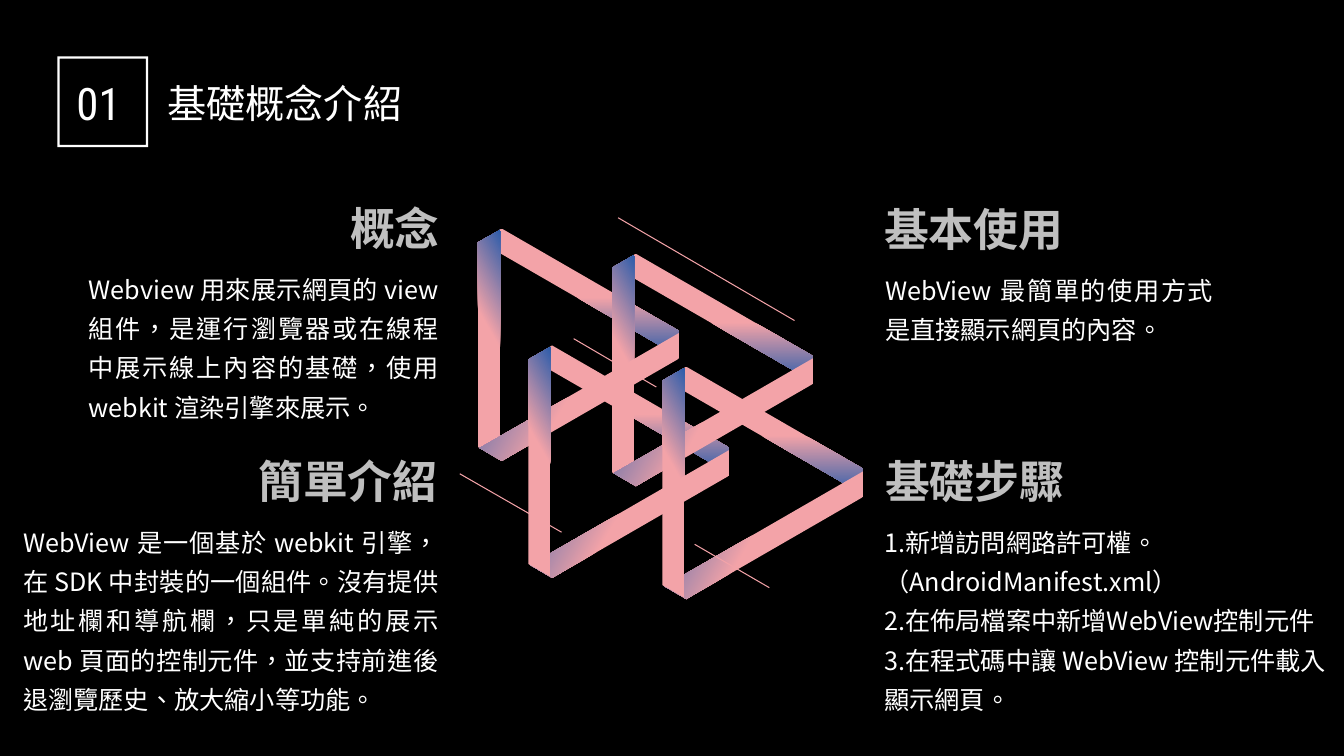
from dataclasses import dataclass

from lxml.etree import SubElement
from pptx import Presentation
from pptx.dml.color import RGBColor
from pptx.enum.lang import MSO_LANGUAGE_ID
from pptx.enum.shapes import MSO_CONNECTOR, MSO_SHAPE
from pptx.enum.text import MSO_ANCHOR, MSO_AUTO_SIZE, PP_ALIGN
from pptx.oxml.ns import qn
from pptx.util import Inches, Pt

LEFT, RIGHT, JUSTIFY = PP_ALIGN.LEFT, PP_ALIGN.RIGHT, PP_ALIGN.JUSTIFY

# Boxes are (left, top, width, height) in inches.
TITLE = ("基礎概念介紹", (1.56, 0.74, 2.97, 0.57))
NUMBER = ("01", (0.66, 0.7, 0.72, 0.64))
NUMBER_FRAME = (0.57, 0.56, 0.9, 0.9)

HEADINGS = [
    ("概念", (3.18, 1.94, 1.28, 0.64), RIGHT),
    ("簡單介紹", (2.35, 4.45, 2.09, 0.64), RIGHT),
    ("基本使用", (8.67, 1.95, 2.09, 0.64), LEFT),
    ("基礎步驟", (8.68, 4.45, 2.09, 0.64), LEFT),
]
DESCRIPTIONS = [
    ("Webview 用來展示網頁的 view 組件，是運行瀏覽器或在線程中展示線上內容的基礎，"
     "使用 webkit 渲染引擎來展示。", (0.78, 2.58, 3.67, 1.68)),
    ("WebView 是一個基於 webkit 引擎，在 SDK 中封裝的一個組件。沒有提供地址欄和導航欄，"
     "只是單純的展示 web 頁面的控制元件，並支持前進後退瀏覽歷史、放大縮小等功能。",
     (0.13, 5.09, 4.32, 2.07)),
    ("WebView 最簡單的使用方式是直接顯示網頁的內容。", (8.68, 2.59, 3.45, 0.89)),
]
STEPS = [
    "1.新增訪問網路許可權。（AndroidManifest.xml）",
    "2.在佈局檔案中新增WebView控制元件",
    "3.在程式碼中讓 WebView 控制元件載入顯示網頁。",
]
STEPS_BOX = (8.67, 5.09, 4.6, 2.07)

# Each triangle is three bands; a band is one trapezoid, turned about its centre.
BAND_LENGTH, BAND_WIDTH, BAND_INSET = 2.28, 0.22, 0.125
BANDS = {"upper": (4.66, 2.76, 30), "lower": (4.66, 3.86, 150), "upright": (3.71, 3.31, 270)}
TRIANGLES = {"A": (0, 0), "B": (1.33, 0.25), "C": (0.5, 1.16), "D": (1.83, 1.37)}
STACKING = [
    ("D", "upper"), ("D", "lower"), ("C", "upper"), ("B", "upper"),
    ("A", "upper"), ("B", "upright"), ("B", "lower"), ("A", "upright"),
    ("A", "lower"), ("D", "upright"), ("C", "lower"), ("C", "upright"),
]
ACCENT_LINES = [
    (4.56, 4.7, 5.57, 5.28), (6.13, 2.16, 7.88, 3.18),
    (6.89, 5.4, 7.63, 5.83), (5.69, 3.36, 6.51, 3.84),
]


@dataclass(frozen=True)
class Theme:
    background: str = "000000"
    text: str = "FFFFFF"
    heading: str = "BFBFBF"
    pink: str = "F3A3A8"
    blue: str = "2E5DAA"
    font: str = "Noto Sans CJK SC"
    number_font: str = "Roboto Condensed"
    title_size: int = 28
    heading_size: int = 32
    body_size: int = 18


THEME = Theme()


def color(value):
    return RGBColor.from_string(value)


def inches(values):
    return [Inches(value) for value in values]


def write(shape, lines, size, align, ink=THEME.text, font=THEME.font, bold=False, spacing=1.0):
    """Fill a text box or placeholder with evenly styled, unbulleted paragraphs."""
    frame = shape.text_frame
    frame.text = "\n".join(lines)
    frame.word_wrap = True
    frame.auto_size = MSO_AUTO_SIZE.SHAPE_TO_FIT_TEXT
    frame.vertical_anchor = MSO_ANCHOR.TOP
    for para in frame.paragraphs:
        properties = para._p.get_or_add_pPr()
        properties.set("marL", "0")
        properties.set("indent", "0")
        SubElement(properties, qn("a:buNone"))
        para.alignment = align
        para.line_spacing = spacing
        para.space_before = Pt(0)
        para.font.size = Pt(size)
        para.font.bold = bold
        para.font.color.rgb = color(ink)
        para.font.name = font
        para.font.language_id = MSO_LANGUAGE_ID.TRADITIONAL_CHINESE
        SubElement(properties.find(qn("a:defRPr")), qn("a:ea"), typeface=THEME.font)


def place(shape, box):
    shape.left, shape.top, shape.width, shape.height = inches(box)
    return shape


def add_text(page, text, box, *style, **options):
    write(page.shapes.add_textbox(*inches(box)), [text], *style, **options)


def add_band(page, left, top, turn):
    corners = [(BAND_INSET, 0), (BAND_LENGTH - BAND_INSET, 0),
               (BAND_LENGTH, BAND_WIDTH), (0, BAND_WIDTH)]
    points = [(Inches(left + x), Inches(top + y)) for x, y in corners]
    builder = page.shapes.build_freeform(*points[0], scale=1.0)
    builder.add_line_segments(points[1:], close=True)
    band = builder.convert_to_shape()
    band.rotation = turn
    band.shadow.inherit = False
    band.line.fill.background()
    band.fill.gradient()
    band.fill.gradient_angle = 300  # counter-clockwise, so 60 degrees clockwise
    for stop, position, tint in zip(band.fill.gradient_stops, (0.56, 1), (THEME.pink, THEME.blue)):
        stop.position = position
        stop.color.rgb = color(tint)


def add_accent_line(page, ends):
    line = page.shapes.add_connector(MSO_CONNECTOR.STRAIGHT, *inches(ends))
    line.line.color.rgb = color(THEME.pink)
    line.line.width = Pt(0.75)
    SubElement(line._element.spPr, qn("a:effectLst"))


def add_number_frame(page):
    frame = page.shapes.add_shape(MSO_SHAPE.FRAME, *inches(NUMBER_FRAME))
    frame.adjustments[0] = 0.024
    frame.shadow.inherit = False
    frame.fill.solid()
    frame.fill.fore_color.rgb = color(THEME.text)
    frame.line.fill.background()


def main():
    deck = Presentation()
    deck.slide_width, deck.slide_height = Inches(13.33), Inches(7.5)
    page = deck.slides.add_slide(deck.slide_layouts[1])
    page.background.fill.solid()
    page.background.fill.fore_color.rgb = color(THEME.background)

    title, title_box = TITLE
    write(place(page.shapes.title, title_box), [title], THEME.title_size, JUSTIFY)
    write(place(page.placeholders[1], STEPS_BOX), STEPS, THEME.body_size, LEFT, spacing=1.3)
    for text, box in DESCRIPTIONS:
        add_text(page, text, box, THEME.body_size, JUSTIFY, spacing=1.3)
    for text, box, align in HEADINGS:
        add_text(page, text, box, THEME.heading_size, align, ink=THEME.heading, bold=True)

    for triangle, side in STACKING:
        shift_x, shift_y = TRIANGLES[triangle]
        left, top, turn = BANDS[side]
        add_band(page, left + shift_x, top + shift_y, turn)
    for ends in ACCENT_LINES:
        add_accent_line(page, ends)

    add_number_frame(page)
    add_text(page, *NUMBER, THEME.heading_size, LEFT, font=THEME.number_font)
    deck.save("out.pptx")


if __name__ == "__main__":
    main()
